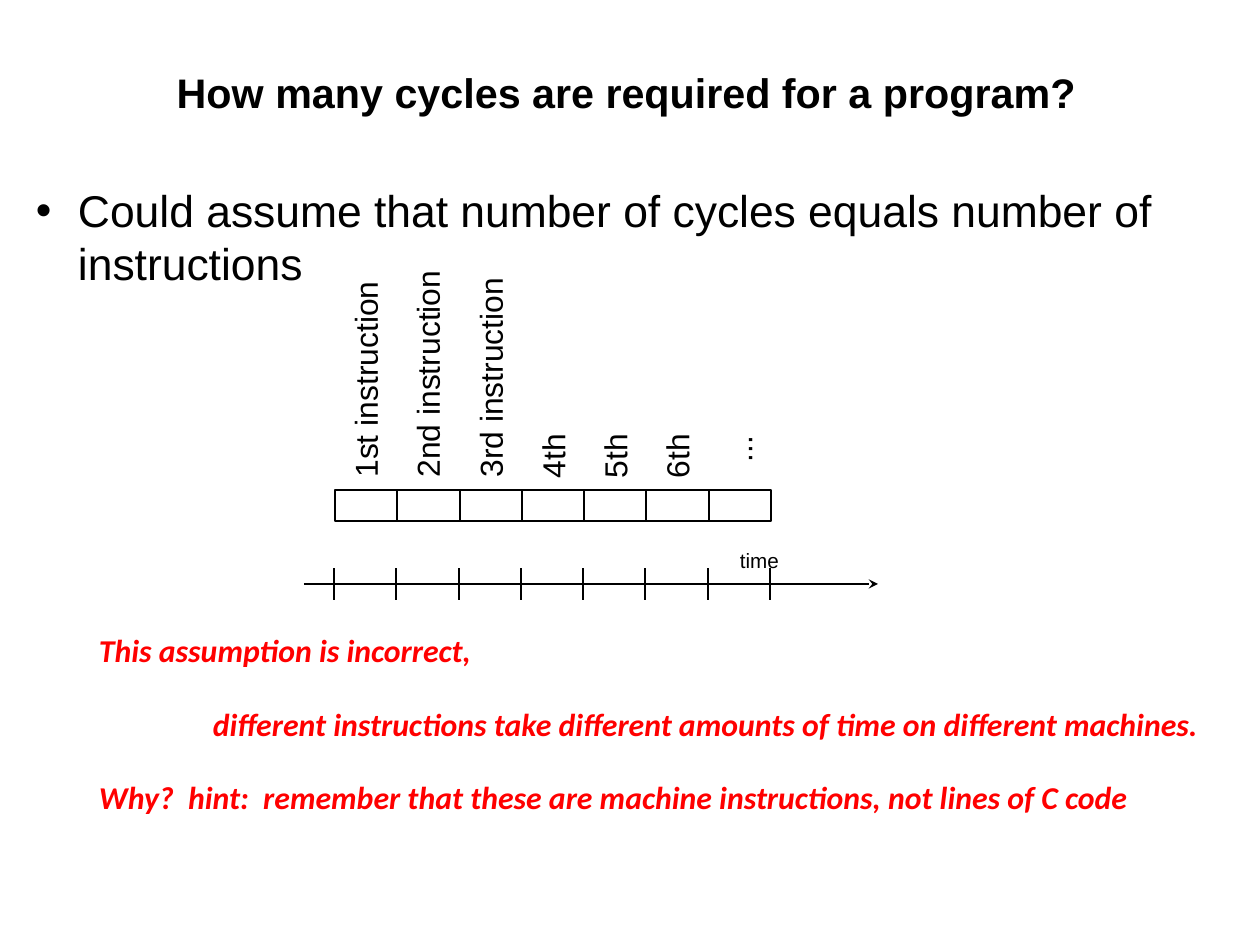
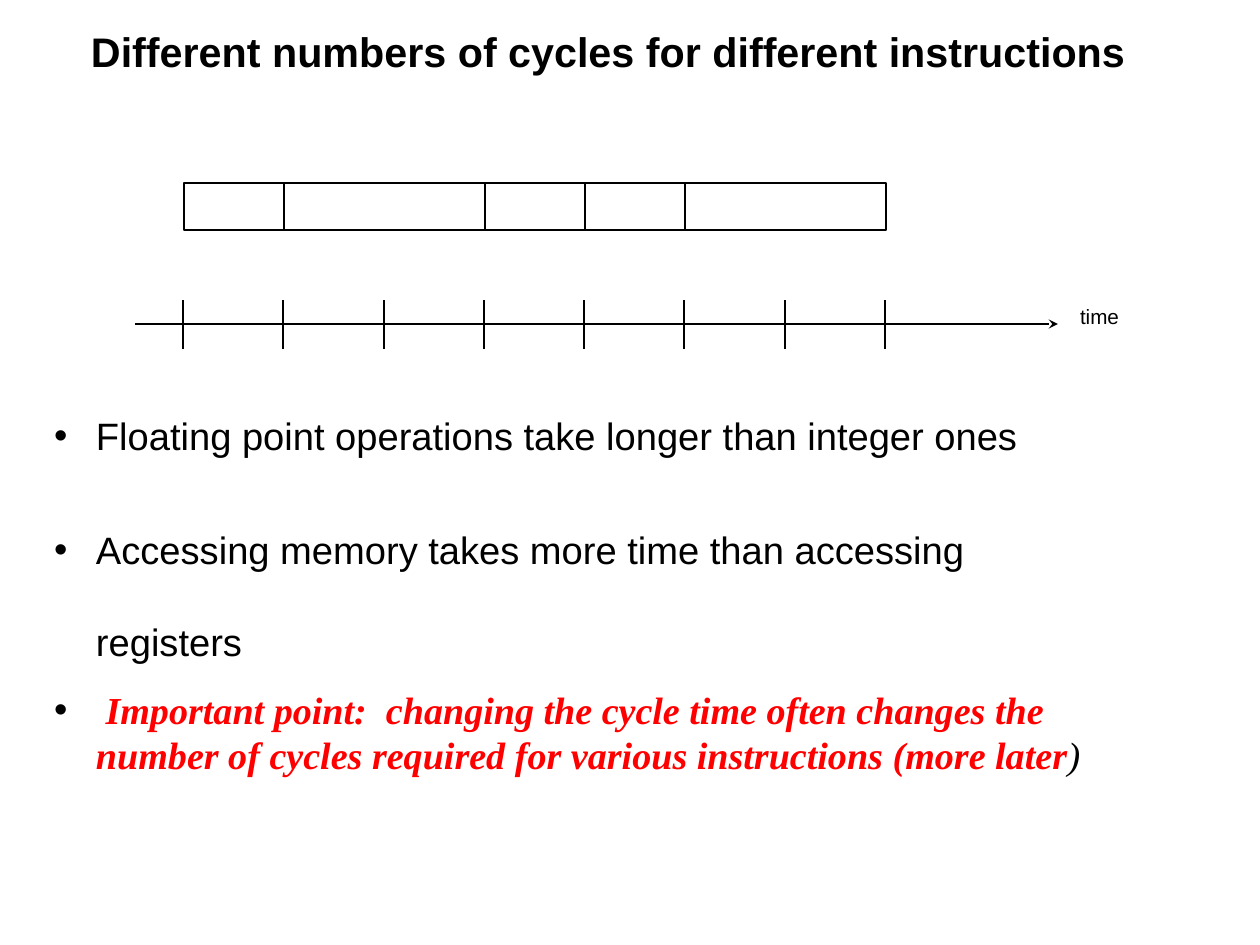
from dataclasses import dataclass
from typing import NamedTuple, Optional

import lxml.etree
import pptx
import pptx.dml.color
import pptx.enum.shapes
import pptx.enum.text
import pptx.oxml.ns
import pptx.util

EMU_PER_PX = 8000
BLACK, WHITE, RED = "000000", "FFFFFF", "FF0000"
SANS, SERIF, HUMANIST = "Arial", "Times New Roman", "Calibri"
LABEL_MARGINS = (2, 3)
BULLET_INDENT = 43
BULLET_HANG = 42


class Box(NamedTuple):
    left: int
    top: int
    width: int
    height: int


class Font(NamedTuple):
    size: int
    name: str = SANS
    color: str = BLACK
    bold: bool = False
    italic: bool = False


class Span(NamedTuple):
    text: str
    font: Font


@dataclass
class Para:
    spans: list[Span]
    line_spacing: Optional[float | pptx.util.Pt] = None
    before: float = 0
    after: float = 0
    indent: int = 0
    bullet: bool = False
    centered: bool = False


class Label(NamedTuple):
    text: str
    length: int
    bottom: int = 479


@dataclass
class Timeline:
    """A row of cells, some spanning several cycles, above a ticked time axis."""
    left: int
    width: int
    cells_top: int
    cell_height: int
    cycles: list[int]
    axis_left: int
    axis_right: int
    axis_y: int
    tick_top: int
    tick_bottom: int
    time_box: Box

    def edge(self, cycle: int) -> int:
        return self.left + round(cycle * self.width / sum(self.cycles))


TITLE_FONT = Font(26, bold=True)
LABEL_FONT = Font(20)
TIME_FONT = Font(13)
REMARK_FONT = Font(20, HUMANIST, RED, bold=True, italic=True)
LABEL_SPACING = pptx.util.Pt(23.2)
TIME_SPACING = pptx.util.Pt(15.4)


def px(length: int) -> pptx.util.Emu:
    return pptx.util.Emu(length * EMU_PER_PX)


def rgb(color: str) -> pptx.dml.color.RGBColor:
    return pptx.dml.color.RGBColor.from_string(color)


def add_bullet(paragraph) -> None:
    properties = paragraph._p.get_or_add_pPr()
    properties.set("indent", str(-px(BULLET_HANG)))
    qn = pptx.oxml.ns.qn
    color = lxml.etree.SubElement(properties, qn("a:buClr"))
    lxml.etree.SubElement(color, qn("a:srgbClr"), val=BLACK)
    lxml.etree.SubElement(properties, qn("a:buFont"), typeface=SANS)
    lxml.etree.SubElement(properties, qn("a:buChar"), char="•")


def write_paragraph(paragraph, para: Para) -> None:
    for span in para.spans:
        run = paragraph.add_run()
        run.text = span.text
        run.font.size = pptx.util.Pt(span.font.size)
        run.font.name = span.font.name
        run.font.bold = span.font.bold
        run.font.italic = span.font.italic
        run.font.color.rgb = rgb(span.font.color)
    if para.line_spacing is not None:
        paragraph.line_spacing = para.line_spacing
    paragraph.space_before = pptx.util.Pt(para.before)
    paragraph.space_after = pptx.util.Pt(para.after)
    alignment = pptx.enum.text.PP_ALIGN
    paragraph.alignment = alignment.CENTER if para.centered else alignment.LEFT
    if para.indent:
        paragraph._p.get_or_add_pPr().set("marL", str(px(para.indent)))
    if para.bullet:
        add_bullet(paragraph)


def fill_text(shape, paras: list[Para], margins: tuple[int, int] = (0, 0)) -> None:
    frame = shape.text_frame
    frame.word_wrap = True
    frame.auto_size = pptx.enum.text.MSO_AUTO_SIZE.NONE
    frame.margin_left = frame.margin_right = px(margins[0])
    frame.margin_top = frame.margin_bottom = px(margins[1])
    for index, para in enumerate(paras):
        paragraph = frame.add_paragraph() if index else frame.paragraphs[0]
        write_paragraph(paragraph, para)


def add_text(page, box: Box, paras: list[Para], margins: tuple[int, int] = (0, 0)):
    shape = page.shapes.add_textbox(*map(px, box))
    fill_text(shape, paras, margins)
    return shape


def add_page(deck, title: str, box: Box):
    """Add a title-only slide with its title placed and formatted."""
    page = deck.slides.add_slide(deck.slide_layouts[5])
    shape = page.shapes.title
    shape.left, shape.top, shape.width, shape.height = map(px, box)
    fill_text(shape, [Para([Span(title, TITLE_FONT)], centered=True)])
    shape.text_frame.vertical_anchor = pptx.enum.text.MSO_ANCHOR.MIDDLE
    return page


def add_line(page, start: tuple[int, int], end: tuple[int, int], arrow: bool = False) -> None:
    line = page.shapes.add_connector(
        pptx.enum.shapes.MSO_CONNECTOR.STRAIGHT, *map(px, start + end))
    line.line.color.rgb = rgb(BLACK)
    line.line.width = pptx.util.Pt(1)
    qn = pptx.oxml.ns.qn
    if arrow:
        lxml.etree.SubElement(line.line._get_or_add_ln(), qn("a:tailEnd"), type="stealth")
    lxml.etree.SubElement(line._element.spPr, qn("a:effectLst"))


def add_cell(page, box: Box) -> None:
    cell = page.shapes.add_shape(pptx.enum.shapes.MSO_SHAPE.RECTANGLE, *map(px, box))
    cell.shadow.inherit = False
    cell.fill.solid()
    cell.fill.fore_color.rgb = rgb(WHITE)
    cell.line.color.rgb = rgb(BLACK)
    cell.line.width = pptx.util.Pt(1)


def add_timeline(page, timeline: Timeline) -> None:
    add_text(page, timeline.time_box,
             [Para([Span("time", TIME_FONT)], TIME_SPACING)], LABEL_MARGINS)
    add_line(page, (timeline.axis_left, timeline.axis_y),
             (timeline.axis_right, timeline.axis_y), arrow=True)
    for cycle in range(sum(timeline.cycles) + 1):
        x = timeline.edge(cycle) - 1
        add_line(page, (x, timeline.tick_bottom), (x, timeline.tick_top))
    start = 0
    for cycles in timeline.cycles:
        left, right = timeline.edge(start), timeline.edge(start + cycles)
        add_cell(page, Box(left, timeline.cells_top, right - left, timeline.cell_height))
        start += cycles


def add_upright_labels(page, timeline: Timeline, labels: list[Label]) -> None:
    """Write one label, turned to read upwards, above each cycle."""
    thickness = 53
    for index, label in enumerate(labels):
        center_x = timeline.edge(index) + 36
        center_y = label.bottom - label.length // 2
        box = Box(center_x - label.length // 2, center_y - thickness // 2,
                  label.length, thickness)
        shape = add_text(page, box, [Para([Span(label.text, LABEL_FONT)], LABEL_SPACING)],
                         LABEL_MARGINS)
        shape.rotation = 270


def bullet(spans: list[Span], line_spacing: float = 1.0) -> Para:
    return Para(spans, line_spacing, after=14.1, indent=BULLET_INDENT, bullet=True)


def remark(text: str, before: float = 23.2, indent: int = 0) -> Para:
    return Para([Span(text, REMARK_FONT)], LABEL_SPACING, before=before, indent=indent)


def build_equal_cycles(deck) -> None:
    page = add_page(deck, "How many cycles are required for a program?",
                    Box(37, 48, 1180, 87))
    add_text(page, Box(35, 183, 1190, 547), [bullet([Span(
        "Could assume that number of cycles equals number of instructions", Font(28))])])
    add_text(page, Box(97, 629, 1150, 307), [
        remark("This assumption is incorrect,", before=0),
        remark("different instructions take different amounts of time on different machines.",
               indent=114),
        remark("Why?  hint:  remember that these are machine instructions, not lines of C code"),
    ], LABEL_MARGINS)
    timeline = Timeline(
        left=335, width=436, cells_top=490, cell_height=31, cycles=[1] * 7,
        axis_left=304, axis_right=878, axis_y=584, tick_top=568, tick_bottom=600,
        time_box=Box(738, 545, 96, 41))
    add_timeline(page, timeline)
    add_upright_labels(page, timeline, [
        Label("1st instruction", 226), Label("2nd instruction", 226),
        Label("3rd instruction", 226), Label("4th", 85), Label("5th", 85),
        Label("6th", 85), Label("...", 85, bottom=463)])


def build_varied_cycles(deck) -> None:
    page = add_page(deck, "Different numbers of cycles for different instructions",
                    Box(32, 10, 1154, 83))
    body = Font(24)
    aside = Font(24, SERIF, italic=True)
    add_text(page, Box(53, 367, 1061, 557), [
        bullet([Span("Floating point operations take longer than integer ones", body)], 2.0),
        bullet([Span("Accessing memory takes more time than accessing registers", body)], 2.0),
        bullet([
            Span(" ", aside),
            Span("Important point:  changing the cycle time often changes the number of "
                 "cycles required for various instructions (more later",
                 aside._replace(color=RED, bold=True)),
            Span(")", aside)]),
    ])
    add_timeline(page, Timeline(
        left=184, width=702, cells_top=183, cell_height=47, cycles=[1, 2, 1, 1, 2],
        axis_left=135, axis_right=1058, axis_y=324, tick_top=300, tick_bottom=349,
        time_box=Box(1078, 301, 96, 41)))


def main() -> None:
    deck = pptx.Presentation()
    deck.slide_width, deck.slide_height = px(1260), px(945)
    build_equal_cycles(deck)
    build_varied_cycles(deck)
    deck.save("out.pptx")


if __name__ == "__main__":
    main()
